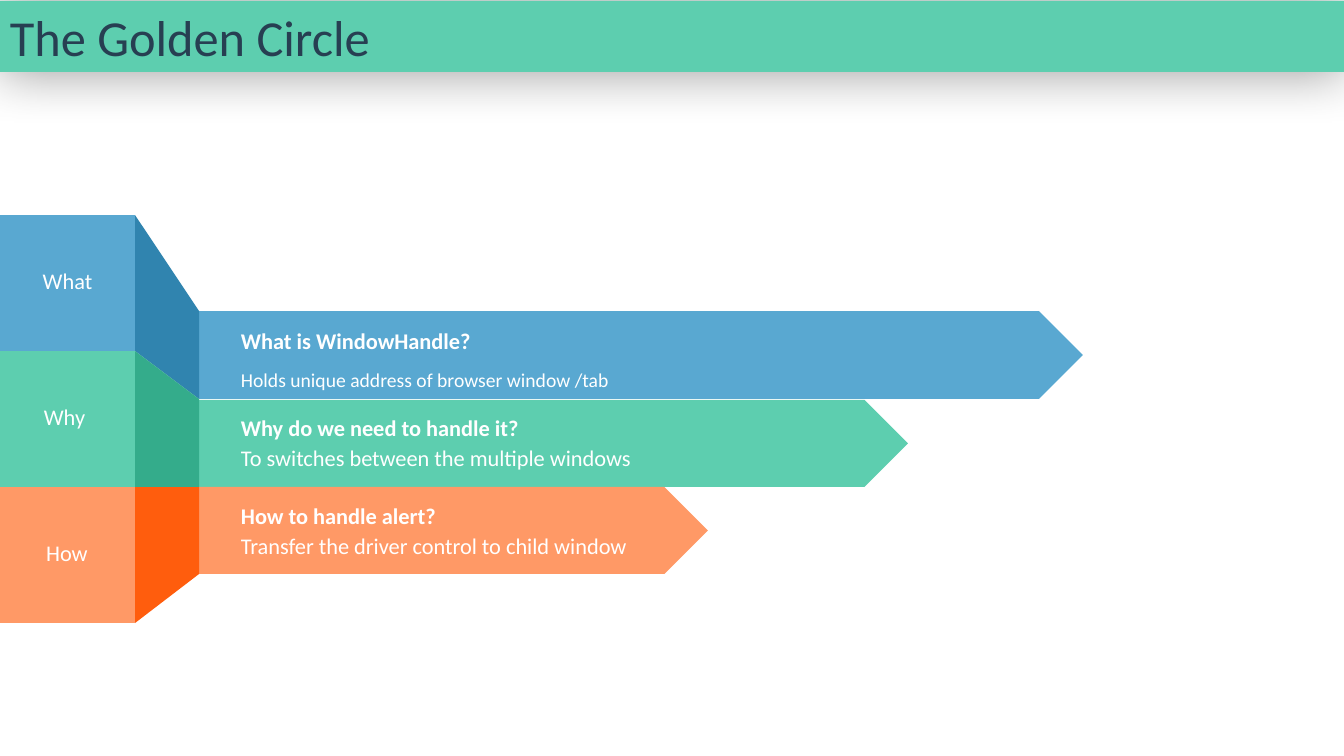
from lxml import etree
from pptx import Presentation
from pptx.dml.color import RGBColor
from pptx.enum.shapes import MSO_SHAPE
from pptx.enum.text import MSO_ANCHOR, MSO_AUTO_SIZE, PP_ALIGN
from pptx.oxml.ns import qn
from pptx.util import Pt

RECTANGLE = MSO_SHAPE.RECTANGLE
PENTAGON = MSO_SHAPE.PENTAGON
MIDDLE = MSO_ANCHOR.MIDDLE
GROW = MSO_AUTO_SIZE.SHAPE_TO_FIT_TEXT
LEFT = PP_ALIGN.LEFT
CENTER = PP_ALIGN.CENTER

EMU_PER_PIXEL = 914400 / 100.8
FONT = "Calibri"
WHITE = "FFFFFF"
NAVY = "273F52"
GREEN = "5DCEAF"

BLOCK_TOP, BLOCK_WIDTH, BLOCK_HEIGHT = 215, 135, 136
ARROW_LEFT, TEXT_LEFT = 199, 231
FOLD_EDGES = [311, 399, 487, 574]

STEPS = [
    {"color": "59A8D1", "fold": "3084AF", "label": ("What", 32, 71),
     "arrow": (311, 884, 88),
     "heading": ("What is WindowHandle?", 322, 253),
     "detail": ("Holds unique address of browser window /tab", 361, 391, 14, 1.1)},
    {"color": GREEN, "fold": "34AC8B", "label": ("Why ", 33, 68),
     "arrow": (400, 709, 87),
     "heading": ("Why do we need to handle it?", 409, 301),
     "detail": ("To switches between the multiple windows", 439, 531, 16, None)},
    {"color": "FF9966", "fold": "FF5D0D", "label": ("How", 36, 62),
     "arrow": (487, 509, 87),
     "heading": ("How to handle alert?", 497, 218),
     "detail": ("Transfer the driver control to child window ", 525, 416, 16, 1.1)},
]


def px(pixels):
    return round(pixels * EMU_PER_PIXEL)


def rgb(color):
    return RGBColor.from_string(color)


def paint(shape, color):
    shape.shadow.inherit = False
    shape.fill.solid()
    shape.fill.fore_color.rgb = rgb(color)
    shape.line.fill.background()


def add_block(slide, preset, box, color):
    block = slide.shapes.add_shape(preset, *map(px, box))
    paint(block, color)
    return block


def add_fold(slide, corners, color):
    start, *others = [(px(x), px(y)) for x, y in corners]
    builder = slide.shapes.build_freeform(*start, scale=1.0)
    builder.add_line_segments(others, close=True)
    paint(builder.convert_to_shape(), color)


def write(frame, words, size, color, bold=False, align=LEFT, spacing=None):
    paragraph = frame.paragraphs[0]
    paragraph.alignment = align
    if spacing:
        paragraph.line_spacing = spacing
    run = paragraph.add_run()
    run.text = words
    run.font.name = FONT
    run.font.size = Pt(size)
    run.font.bold = bold
    run.font.color.rgb = rgb(color)


def add_caption(slide, box, words, size=16, **style):
    frame = slide.shapes.add_textbox(*map(px, box)).text_frame
    frame.word_wrap = False
    frame.auto_size = GROW
    write(frame, words, size, WHITE, **style)


def add_glow_shadow(shape, blur, opacity):
    effects = shape.element.spPr.find(qn("a:effectLst"))
    shadow = etree.SubElement(effects, qn("a:outerShdw"),
                              blurRad=str(Pt(blur)), dist="0", dir="0",
                              algn="ctr", rotWithShape="0")
    black = etree.SubElement(shadow, qn("a:srgbClr"), val="000000")
    etree.SubElement(black, qn("a:alpha"), val=str(opacity * 1000))


def add_title_bar(slide, words):
    bar = add_block(slide, RECTANGLE, (0, 1, 1344, 71), GREEN)
    add_glow_shadow(bar, blur=39, opacity=40)
    frame = bar.text_frame
    frame.word_wrap = True
    frame.auto_size = GROW
    frame.vertical_anchor = MIDDLE
    write(frame, words, 36, NAVY)


def add_step(slide, index, step):
    top = BLOCK_TOP + index * BLOCK_HEIGHT
    bottom = top + BLOCK_HEIGHT
    add_block(slide, RECTANGLE, (0, top, BLOCK_WIDTH, BLOCK_HEIGHT), step["color"])

    arrow_top, arrow_width, arrow_height = step["arrow"]
    add_block(slide, PENTAGON, (ARROW_LEFT, arrow_top, arrow_width, arrow_height),
              step["color"])

    add_fold(slide, [(BLOCK_WIDTH, top), (ARROW_LEFT, FOLD_EDGES[index]),
                     (ARROW_LEFT, FOLD_EDGES[index + 1]), (BLOCK_WIDTH, bottom)],
             step["fold"])

    label, left, width = step["label"]
    add_caption(slide, (left, top + 47, width, 37), label, align=CENTER)

    heading, heading_top, width = step["heading"]
    add_caption(slide, (TEXT_LEFT, heading_top, width, 37), heading, bold=True)

    detail, detail_top, width, size, spacing = step["detail"]
    add_caption(slide, (TEXT_LEFT, detail_top, width, 37), detail, size,
                spacing=spacing)


def main():
    deck = Presentation()
    deck.slide_width = px(1344)
    deck.slide_height = px(756)
    slide = deck.slides.add_slide(deck.slide_layouts[6])
    for index, step in enumerate(STEPS):
        add_step(slide, index, step)
    add_title_bar(slide, "The Golden Circle")
    deck.save("out.pptx")


main()
